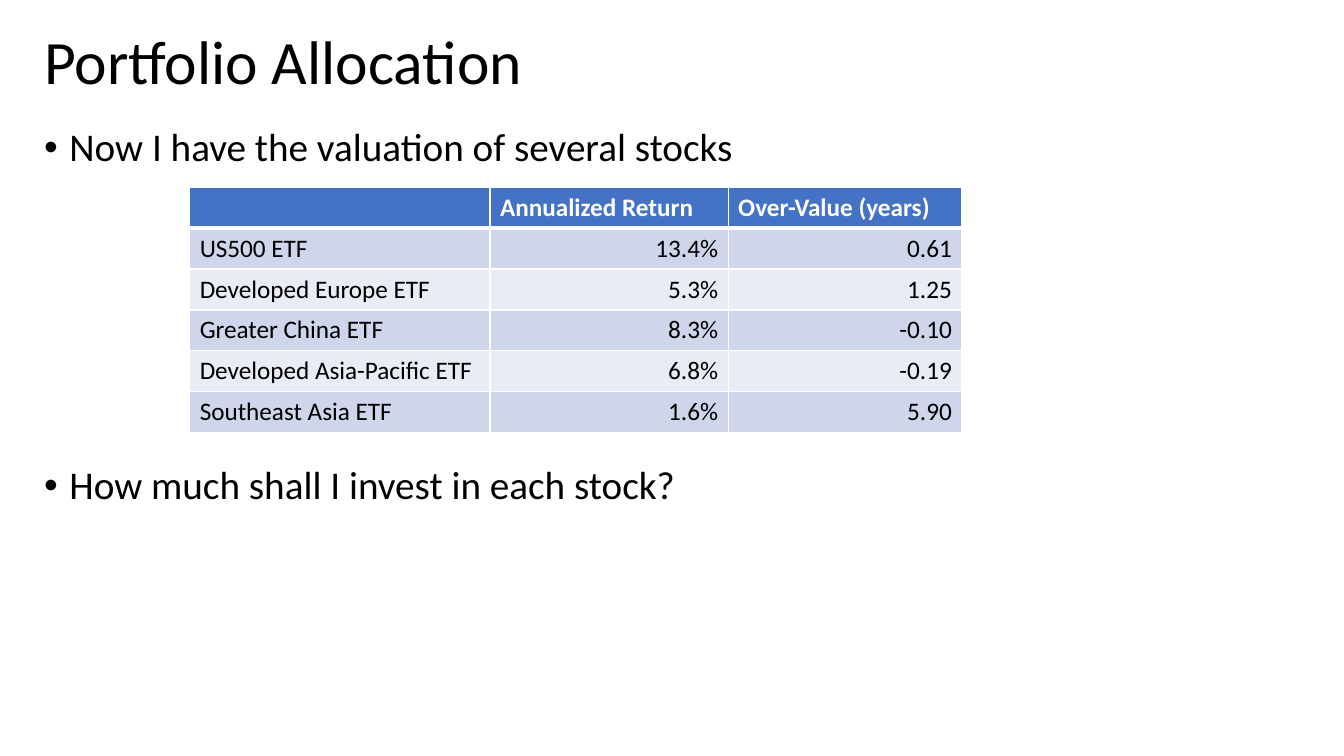
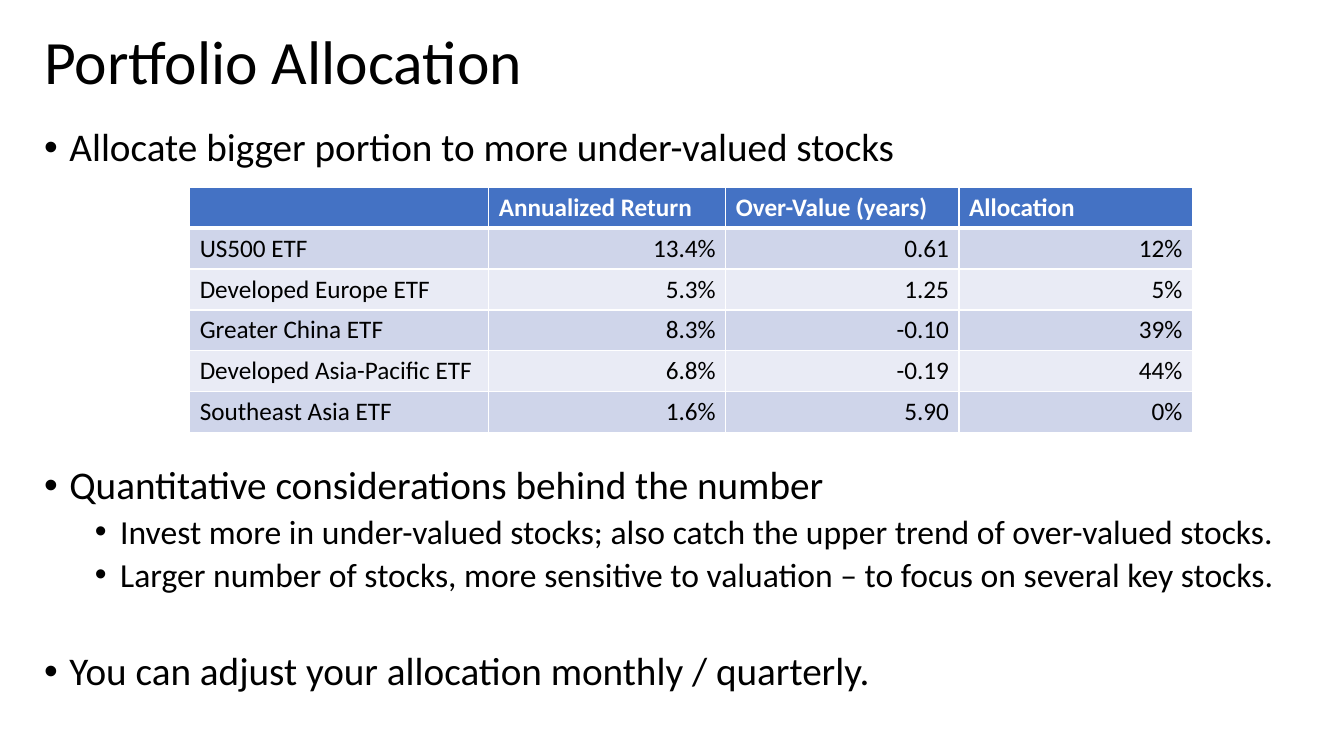
from dataclasses import dataclass

from lxml import etree
from pptx import Presentation
from pptx.dml.color import RGBColor
from pptx.enum.text import MSO_ANCHOR, PP_ALIGN
from pptx.oxml.ns import qn
from pptx.util import Cm, Pt

MIDDLE = MSO_ANCHOR.MIDDLE
LEFT, RIGHT = PP_ALIGN.LEFT, PP_ALIGN.RIGHT

BLACK = RGBColor(0x00, 0x00, 0x00)
WHITE = RGBColor(0xFF, 0xFF, 0xFF)
HEADER_BLUE = RGBColor(0x44, 0x72, 0xC4)
BAND_DARK = RGBColor(0xCF, 0xD5, 0xEA)
BAND_LIGHT = RGBColor(0xE9, 0xEB, 0xF5)

FONT = "Calibri"
TITLE = "Portfolio Allocation"
MARGIN = Cm(0.86)
INDENT = Cm(0.64)
ROW_HEIGHT = Cm(1.03)
TABLE_GAP = 211
BLANK_LAYOUT = 6

FUNDS = (
    ("", "Annualized Return", "Over-Value (years)", "Allocation"),
    ("US500 ETF", "13.4%", "0.61", "12%"),
    ("Developed Europe ETF", "5.3%", "1.25", "5%"),
    ("Greater China ETF", "8.3%", "-0.10", "39%"),
    ("Developed Asia-Pacific ETF", "6.8%", "-0.19", "44%"),
    ("Southeast Asia ETF", "1.6%", "5.90", "0%"),
)


@dataclass(frozen=True)
class Bullet:
    text: str
    before: float = 10
    level: int = 0


@dataclass(frozen=True)
class Page:
    bullets: tuple[Bullet, ...]
    columns: tuple[float, ...]


PAGES = (
    Page(
        (
            Bullet("Now I have the valuation of several stocks"),
            Bullet("How much shall I invest in each stock?", TABLE_GAP),
        ),
        (7.57, 6, 5.89),
    ),
    Page(
        (
            Bullet("Allocate bigger portion to more under-valued stocks"),
            Bullet("Quantitative considerations behind the number", TABLE_GAP),
            Bullet("Invest more in under-valued stocks; also catch the upper trend "
                   "of over-valued stocks.", 5, 1),
            Bullet("Larger number of stocks, more sensitive to valuation – to focus "
                   "on several key stocks.", 5, 1),
            Bullet("You can adjust your allocation monthly / quarterly.", 41),
        ),
        (7.54, 5.97, 5.88, 5.88),
    ),
)


def style(p, size: float, color: RGBColor = BLACK, bold: bool = False) -> None:
    for r in p.runs:
        r.font.name = FONT
        r.font.size = Pt(size)
        r.font.bold = bold
        r.font.color.rgb = color


def add_title(s) -> None:
    tf = s.shapes.add_textbox(MARGIN, Cm(0.56), Cm(30.66), Cm(2.11)).text_frame
    tf.word_wrap = True
    tf.vertical_anchor = MIDDLE
    tf.text = TITLE
    p = tf.paragraphs[0]
    p.line_spacing = 0.9
    style(p, 44)


def add_bullets(s, bullets: tuple[Bullet, ...]) -> None:
    tf = s.shapes.add_textbox(MARGIN, Cm(3.1), Cm(31.9), Cm(14.94)).text_frame
    tf.word_wrap = True
    for i, bullet in enumerate(bullets):
        p = tf.add_paragraph() if i else tf.paragraphs[0]
        p.text = bullet.text
        p.level = bullet.level
        p.line_spacing = 0.9
        p.space_before = Pt(bullet.before)
        style(p, 24 if bullet.level else 28)
        pPr = p._p.get_or_add_pPr()
        pPr.set("marL", str(INDENT * (1 + 2 * bullet.level)))
        pPr.set("indent", str(-INDENT))
        etree.SubElement(pPr, qn("a:buFont")).set("typeface", "Arial")
        etree.SubElement(pPr, qn("a:buChar")).set("char", "•")


def set_borders(cell, top: float, bottom: float) -> None:
    tcPr = cell._tc.get_or_add_tcPr()
    sides = (("a:lnL", 1), ("a:lnR", 1), ("a:lnT", top), ("a:lnB", bottom))
    for i, (tag, width) in enumerate(sides):
        ln = etree.Element(qn(tag), w=str(Pt(width)))
        fill = etree.SubElement(ln, qn("a:solidFill"))
        etree.SubElement(fill, qn("a:srgbClr")).set("val", str(WHITE))
        tcPr.insert(i, ln)


def add_fund_table(s, columns: tuple[float, ...]) -> None:
    table = s.shapes.add_table(
        len(FUNDS), len(columns), Cm(4.78), Cm(4.72),
        Cm(sum(columns)), ROW_HEIGHT * len(FUNDS),
    ).table
    for column, width in zip(table.columns, columns):
        column.width = Cm(width)
    for i, (row, values) in enumerate(zip(table.rows, FUNDS)):
        row.height = ROW_HEIGHT
        header = i == 0
        band = HEADER_BLUE if header else BAND_DARK if i % 2 else BAND_LIGHT
        for j, (cell, value) in enumerate(zip(row.cells, values)):
            cell.text = value
            cell.fill.solid()
            cell.fill.fore_color.rgb = band
            set_borders(cell, 3 if i == 1 else 1, 3 if header else 1)
            p = cell.text_frame.paragraphs[0]
            p.alignment = LEFT if header or j == 0 else RIGHT
            style(p, 18, WHITE if header else BLACK, header)


def main() -> None:
    prs = Presentation()
    prs.slide_width, prs.slide_height = Cm(33.87), Cm(19.05)
    for page in PAGES:
        s = prs.slides.add_slide(prs.slide_layouts[BLANK_LAYOUT])
        add_title(s)
        add_bullets(s, page.bullets)
        add_fund_table(s, page.columns)
    prs.save("out.pptx")


if __name__ == "__main__":
    main()
